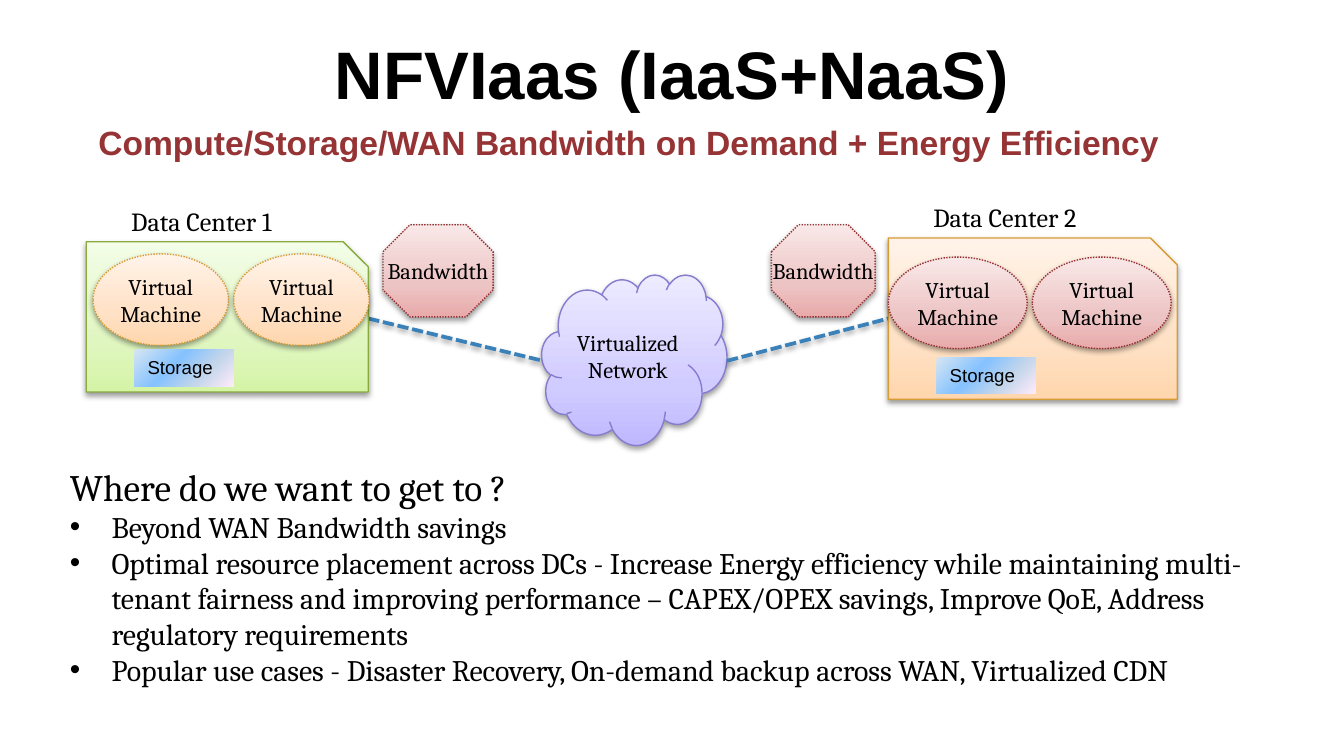
from dataclasses import dataclass

import pptx
import pptx.dml.color
import pptx.enum.dml
import pptx.enum.shapes
import pptx.enum.text
import pptx.oxml
import pptx.oxml.ns
import pptx.util
from pptx.util import Cm, Pt

SHAPE = pptx.enum.shapes.MSO_SHAPE
DASH = pptx.enum.dml.MSO_LINE
ALIGN = pptx.enum.text.PP_ALIGN
ANCHOR = pptx.enum.text.MSO_ANCHOR
NS = pptx.oxml.ns.nsdecls("a")


@dataclass(frozen=True)
class Theme:
    """Colours, fonts and type sizes of the slide."""
    ink: str = "000000"
    accent: str = "963334"
    link: str = "3A81BA"
    heading_font: str = "Arial"
    body_font: str = "Cambria"
    title: int = 36
    subtitle: int = 18
    question: int = 20
    goal: int = 16
    site: int = 14
    node: int = 12
    storage: int = 10
    green: tuple = ("89AA3E", ((0, "D5F4A6"), (35, "E0F6C1"), (100, "F3FDE7")))
    orange: tuple = ("D79D34", ((0, "FFD6AD"), (35, "FFE1C5"), (100, "FFF3E9")))
    violet: tuple = ("867CCF", ((0, "BFB8FF"), (35, "D1CCFF"), (100, "EDEBFF")))
    red: tuple = ("952F30", ((0, "E8AAAA"), (35, "EDC4C4"), (100, "F9E8E8")))
    disk: tuple = (None, ((0, "D6E6F2"), (40, "85C2FF"), (70, "C4D6EB"), (100, "FFEBFA")))


THEME = Theme()


def rgb(colour):
    """Turn a hex string into a colour."""
    return pptx.dml.color.RGBColor.from_string(colour)


def lengths(box):
    """Turn a box in centimetres into lengths."""
    return [Cm(value) for value in box]


def add_run(paragraph, wording, size, font=THEME.body_font, colour=THEME.ink, bold=False):
    """Add one formatted run to a paragraph."""
    run = paragraph.add_run()
    run.text = wording
    run.font.size = Pt(size)
    run.font.name = font
    run.font.bold = bold
    run.font.color.rgb = rgb(colour)


def set_frame(frame, inset=None, anchor=ANCHOR.TOP, wrap=True):
    """Set wrapping, anchor and insets of a text frame."""
    frame.word_wrap = wrap
    frame.auto_size = pptx.enum.text.MSO_AUTO_SIZE.NONE
    frame.vertical_anchor = anchor
    if inset is not None:
        frame.margin_left = frame.margin_right = Cm(inset)
        frame.margin_top = frame.margin_bottom = Cm(inset)


def add_shadow(part):
    """Give a shape or connector the soft shadow below it."""
    part._element.spPr.append(pptx.oxml.parse_xml(
        f'<a:effectLst {NS}><a:outerShdw blurRad="{Pt(3.1)}" dist="{Pt(1.6)}" dir="5400000" '
        'rotWithShape="0"><a:srgbClr val="000000"><a:alpha val="38000"/></a:srgbClr>'
        '</a:outerShdw></a:effectLst>'))


def add_block(slide, geometry, box, style, angle=90, dash=None):
    """Add a preset shape with a gradient, and an outline and shadow if it has a line colour."""
    block = slide.shapes.add_shape(geometry, *lengths(box))
    outline, stops = style
    block.fill.gradient()
    block.fill.gradient_angle = angle
    stop_list = block._element.spPr.find(".//" + pptx.oxml.ns.qn("a:gsLst"))
    for old_stop in list(stop_list):
        stop_list.remove(old_stop)
    for position, colour in stops:
        stop_list.append(pptx.oxml.parse_xml(
            f'<a:gs {NS} pos="{position * 1000}"><a:srgbClr val="{colour}"/></a:gs>'))
    if outline is None:
        block.line.fill.background()
        block.shadow.inherit = False
    else:
        block.line.color.rgb = rgb(outline)
        block.line.width = Pt(0.75)
        block.line.dash_style = dash
        add_shadow(block)
    return block


def add_node(slide, geometry, box, style, wording, inset=0.13, wrap=True, dash=DASH.ROUND_DOT):
    """Add a shape with a centred caption."""
    node = add_block(slide, geometry, box, style, dash=dash)
    set_frame(node.text_frame, inset, ANCHOR.MIDDLE, wrap)
    caption = node.text_frame.paragraphs[0]
    caption.alignment = ALIGN.CENTER
    add_run(caption, wording, THEME.node)


def add_link(slide, start, end):
    """Add a dashed link between two points."""
    link = slide.shapes.add_connector(
        pptx.enum.shapes.MSO_CONNECTOR.STRAIGHT, *lengths(start + end))
    link.line.color.rgb = rgb(THEME.link)
    link.line.width = Pt(2)
    link.line.dash_style = DASH.SQUARE_DOT
    add_shadow(link)


def add_header(slide, box):
    """Place the title and the subtitle in the header box."""
    left, top, width, height = box
    title = slide.shapes.title
    title.left, title.top, title.width, title.height = lengths(
        (left + 0.2, top, width - 0.43, 2.39))
    set_frame(title.text_frame, 0.25, ANCHOR.BOTTOM)
    heading = title.text_frame.paragraphs[0]
    heading.alignment = ALIGN.CENTER
    add_run(heading, "NFVIaas (IaaS+NaaS)", THEME.title, THEME.heading_font, bold=True)

    subtitle = slide.shapes.add_textbox(*lengths((left, top + 2.06, width, height - 2.06)))
    set_frame(subtitle.text_frame, 0.25)
    promise = subtitle.text_frame.paragraphs[0]
    properties = promise._p.get_or_add_pPr()
    properties.set("marL", str(Cm(0.97)))
    properties.set("indent", str(Cm(-0.43)))
    add_run(promise, "Compute/Storage/WAN Bandwidth on Demand + Energy Efficiency",
            THEME.subtitle, THEME.heading_font, THEME.accent, True)


def add_data_center(slide, box, name, site_style, machine_style, machine_offset):
    """Place a data center with its name, two virtual machines and storage."""
    left, top, width, height = box
    add_block(slide, SHAPE.SNIP_1_RECTANGLE, box, site_style)
    label = slide.shapes.add_textbox(*lengths((left + 0.6, top - 0.82, 4.01, 0.86)))
    set_frame(label.text_frame)
    add_run(label.text_frame.paragraphs[0], name, THEME.site)

    offset_x, offset_y = machine_offset
    machine_width = 0.48 * width
    for index in range(2):
        machine_left = left + offset_x + index * (machine_width + 0.1)
        add_node(slide, SHAPE.OVAL, (machine_left, top + offset_y, machine_width, 1.73),
                 machine_style, "Virtual Machine")

    storage = add_block(slide, SHAPE.RECTANGLE, (left + 0.91, top + height - 0.8, 1.88, 0.69),
                        THEME.disk, angle=315)
    set_frame(storage.text_frame)
    caption = storage.text_frame.paragraphs[0]
    caption.alignment = ALIGN.LEFT
    add_run(caption, "Storage", THEME.storage, THEME.heading_font)


def add_network(slide, box):
    """Place the cloud, its links and the bandwidth marks between the data centers."""
    left, top, width, height = box
    right, link_top, link_bottom = left + width, top + 1.77, top + 2.57
    cloud_left, cloud_width = left + 3.28, 3.5
    add_node(slide, SHAPE.CLOUD, (cloud_left, top + 0.94, cloud_width, height - 0.94),
             THEME.violet, "Virtualized Network", dash=None)
    add_link(slide, (left, link_top), (cloud_left + 0.02, link_bottom))
    add_link(slide, (cloud_left + cloud_width, link_bottom), (right, link_top))
    for mark_left, mark_width in ((left + 0.28, 2.08), (right - 2.21, 1.96)):
        add_node(slide, SHAPE.OCTAGON, (mark_left, top, mark_width, 1.74),
                 THEME.red, "Bandwidth", inset=0, wrap=False)


def add_goals(slide, box):
    """Place the question and its bulleted goals."""
    goals = slide.shapes.add_textbox(*lengths(box))
    set_frame(goals.text_frame)
    add_run(goals.text_frame.paragraphs[0], "Where do we want to get to ?", THEME.question)
    for wording in (
            "Beyond WAN Bandwidth savings",
            "Optimal resource placement across DCs - Increase Energy efficiency while maintaining "
            "multi-tenant fairness and improving performance – CAPEX/OPEX savings, Improve QoE, "
            "Address regulatory requirements",
            "Popular use cases - Disaster Recovery, On-demand backup across WAN, Virtualized CDN"):
        goal = goals.text_frame.add_paragraph()
        properties = goal._p.get_or_add_pPr()
        properties.set("marL", str(Cm(0.79)))
        properties.set("indent", str(Cm(-0.79)))
        properties.append(pptx.oxml.parse_xml(f'<a:buFont {NS} typeface="Arial"/>'))
        properties.append(pptx.oxml.parse_xml(f'<a:buChar {NS} char="•"/>'))
        add_run(goal, wording, THEME.goal)


def main():
    """Build the slide and save it."""
    deck = pptx.Presentation()
    deck.slide_width, deck.slide_height = Cm(25.4), Cm(14.29)
    slide = deck.slides.add_slide(deck.slide_layouts[5])
    add_header(slide, (1.07, 0, 23.29, 3.33))
    add_network(slide, (6.96, 4.25, 9.83, 4.16))
    add_data_center(slide, (1.63, 4.57, 5.33, 2.84), "Data Center 1",
                    THEME.green, THEME.orange, (0.13, 0.23))
    add_data_center(slide, (16.79, 4.5, 5.46, 3.05), "Data Center 2",
                    THEME.orange, THEME.red, (0, 0.36))
    add_goals(slide, (1.07, 8.64, 23.5, 4.52))
    deck.save("out.pptx")


if __name__ == "__main__":
    main()
